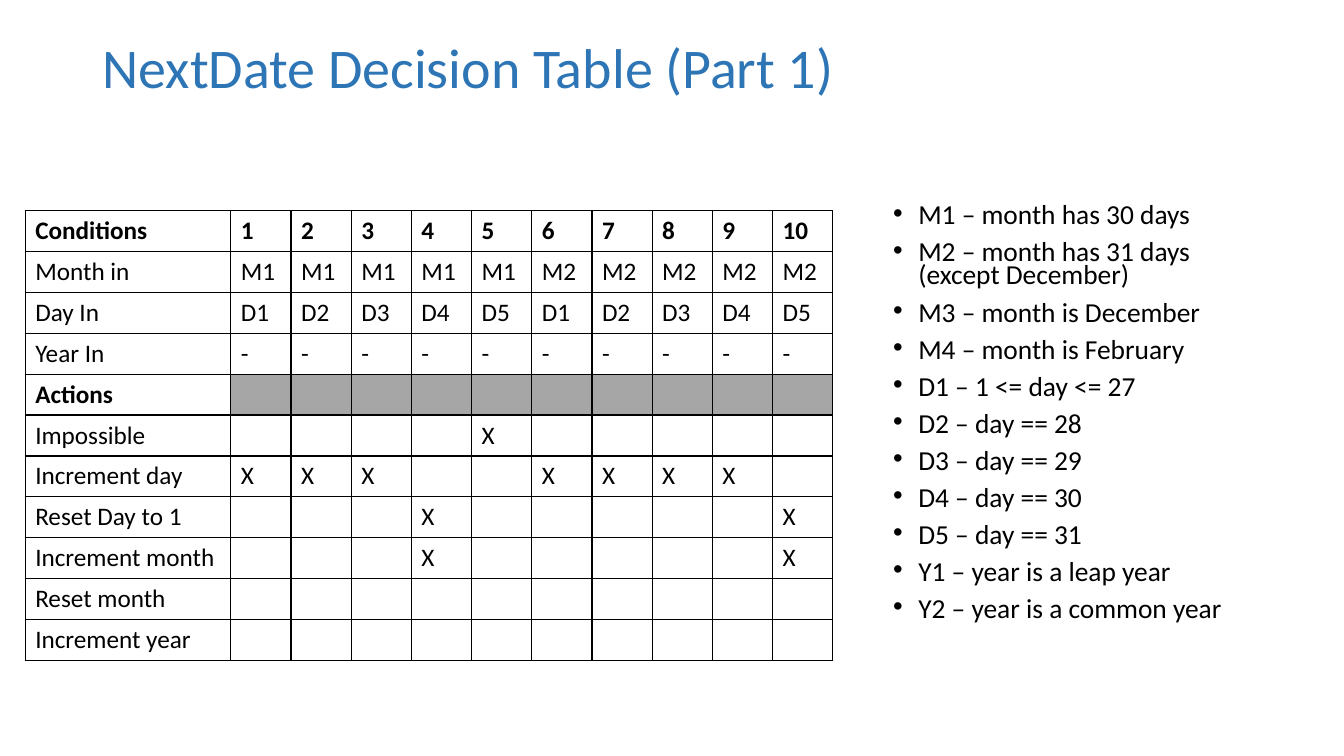
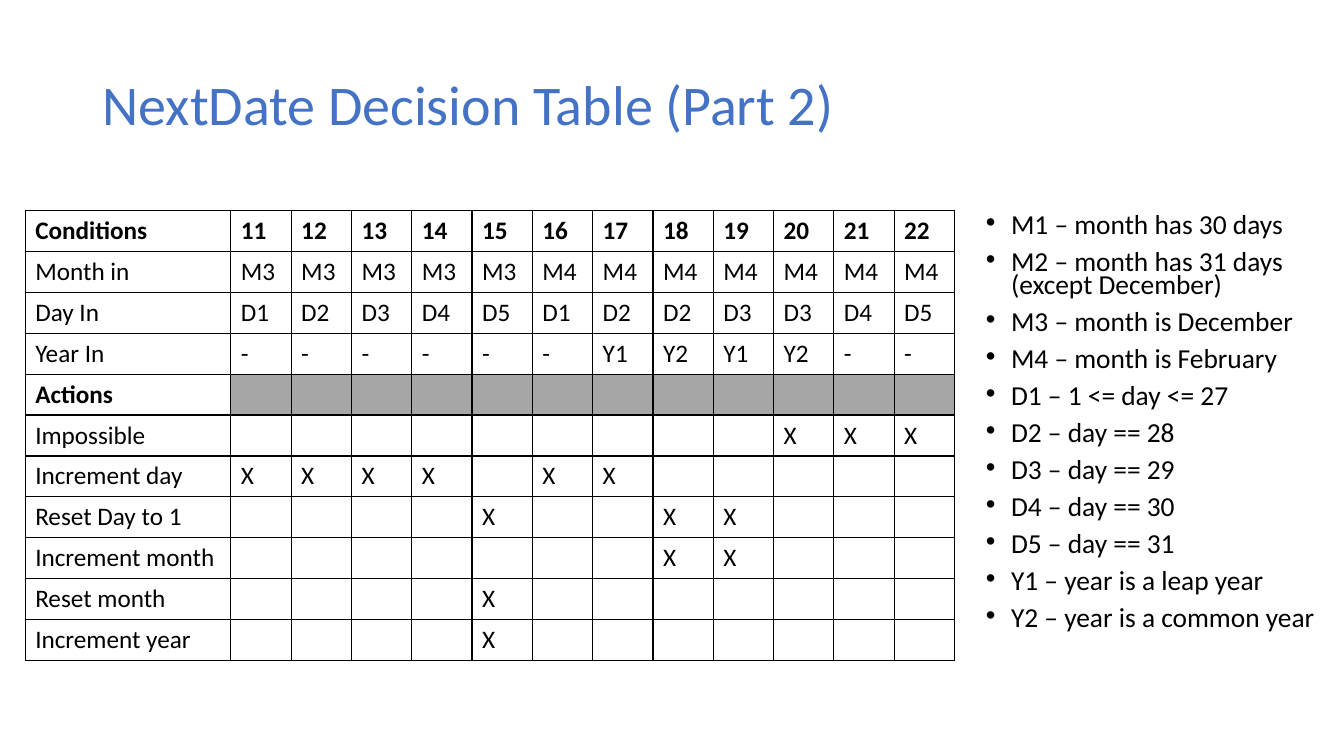
from dataclasses import dataclass

from lxml import etree
from pptx import Presentation
from pptx import util as u
from pptx.dml.color import RGBColor
from pptx.enum import text
from pptx.oxml import ns

FONT = "Calibri"
BLACK, GREY = "000000", "A6A6A6"
LABEL_WIDTH, TABLE_HEIGHT = 2.04, 4.46
FRAME_FORMAT = {"word_wrap": True, "auto_size": text.MSO_AUTO_SIZE.NONE}
TITLE_FORMAT = {"line_spacing": 0.9}
LEGEND_FORMAT = {"line_spacing": 0.7, "space_before": u.Pt(10)}

ACTIONS = ["Impossible", "Increment day", "Reset Day to 1",
           "Increment month", "Reset month", "Increment year"]
LEGEND = [
    "M1 – month has 30 days",
    "M2 – month has 31 days (except December)",
    "M3 – month is December",
    "M4 – month is February",
    "D1 – 1 <= day <= 27",
    "D2 – day == 28",
    "D3 – day == 29",
    "D4 – day == 30",
    "D5 – day == 31",
    "Y1 – year is a leap year",
    "Y2 – year is a common year",
]


@dataclass
class DecisionSlide:
    title: str
    title_color: str
    title_top: float
    table_width: float
    legend_left: float
    legend_top: float
    rules: range
    months: list[str]
    days: list[str]
    years: list[str]
    marks: dict[str, set[int]]  # action -> rules that trigger it

    def rows(self) -> list[list[str]]:
        blank = [""] * len(self.rules)
        return [
            ["Conditions", *map(str, self.rules)],
            ["Month in", *self.months],
            ["Day In", *self.days],
            ["Year In", *self.years],
            ["Actions", *blank],
            *([action, *("X" if rule in self.marks.get(action, ()) else ""
                         for rule in self.rules)] for action in ACTIONS),
        ]


DECISION_SLIDES = [
    DecisionSlide(
        "NextDate Decision Table (Part 1)", "2E75B6", 0.17, 8.01, 8.76, 2,
        rules=range(1, 11),
        months=["M1"] * 5 + ["M2"] * 5,
        days="D1 D2 D3 D4 D5".split() * 2,
        years=["-"] * 10,
        marks={"Impossible": {5},
               "Increment day": {1, 2, 3, 6, 7, 8, 9},
               "Reset Day to 1": {4, 10},
               "Increment month": {4, 10}},
    ),
    DecisionSlide(
        "NextDate Decision Table (Part 2)", "4472C4", 0.54, 9.22, 9.68, 2.09,
        rules=range(11, 23),
        months=["M3"] * 5 + ["M4"] * 7,
        days="D1 D2 D3 D4 D5 D1 D2 D2 D3 D3 D4 D5".split(),
        years="- - - - - - Y1 Y2 Y1 Y2 - -".split(),
        marks={"Impossible": {20, 21, 22},
               "Increment day": {11, 12, 13, 14, 16, 17},
               "Reset Day to 1": {15, 18, 19},
               "Increment month": {18, 19},
               "Reset month": {15},
               "Increment year": {15}},
    ),
]


def color(value: str) -> RGBColor:
    return RGBColor.from_string(value)


def apply(target, values: dict) -> None:
    for name, value in values.items():
        setattr(target, name, value)


def add_run(paragraph, content: str, size: float, ink: str = BLACK, bold: bool = False) -> None:
    run = paragraph.add_run()
    run.text = content
    apply(run.font, {"name": FONT, "size": u.Pt(size), "bold": bold})
    run.font.color.rgb = color(ink)


def add_frame(slide, left: float, top: float, width: float, height: float):
    box = slide.shapes.add_textbox(*map(u.Inches, (left, top, width, height)))
    apply(box.text_frame, FRAME_FORMAT)
    return box.text_frame


def add_title(slide, content: str, ink: str, top: float) -> None:
    frame = add_frame(slide, 0.92, top, 11.5, 1.06)
    frame.vertical_anchor = text.MSO_ANCHOR.MIDDLE
    paragraph = frame.paragraphs[0]
    apply(paragraph, TITLE_FORMAT)
    add_run(paragraph, content, 40, ink)


def set_bullet(paragraph) -> None:
    properties = paragraph._p.get_or_add_pPr()
    properties.set("marL", str(u.Inches(0.25)))
    properties.set("indent", str(u.Inches(-0.25)))
    etree.SubElement(properties, ns.qn("a:buFont"), typeface="Arial")
    etree.SubElement(properties, ns.qn("a:buChar"), char="•")


def add_legend(slide, left: float, top: float) -> None:
    frame = add_frame(slide, left, top, 3.66, 4.76)
    for index, entry in enumerate(LEGEND):
        paragraph = frame.add_paragraph() if index else frame.paragraphs[0]
        apply(paragraph, LEGEND_FORMAT)
        set_bullet(paragraph)
        add_run(paragraph, entry, 19.6)


def set_borders(cell) -> None:
    properties = cell._tc.get_or_add_tcPr()
    for side in ("lnL", "lnR", "lnT", "lnB"):
        line = etree.SubElement(properties, ns.qn(f"a:{side}"), w=str(u.Pt(1)))
        fill = etree.SubElement(line, ns.qn("a:solidFill"))
        etree.SubElement(fill, ns.qn("a:srgbClr"), val=BLACK)


def add_decision_table(slide, rows: list[list[str]], width: float) -> None:
    frame = slide.shapes.add_table(
        len(rows), len(rows[0]), *map(u.Inches, (0.25, 2.09, width, TABLE_HEIGHT)))
    table = frame.table
    apply(table, {"first_row": False, "horz_banding": False})
    rule_width = (width - LABEL_WIDTH) / (len(rows[0]) - 1)
    for index, column in enumerate(table.columns):
        column.width = u.Inches(rule_width if index else LABEL_WIDTH)
    for row, values in zip(table.rows, rows):
        row.height = u.Inches(TABLE_HEIGHT / len(rows))
        heading = values[0] in ("Conditions", "Actions")
        for cell, value in zip(row.cells, values):
            set_borders(cell)
            if values[0] == "Actions" and not value:
                cell.fill.solid()
                cell.fill.fore_color.rgb = color(GREY)
            else:
                cell.fill.background()
            if value:
                add_run(cell.text_frame.paragraphs[0], value, 18, bold=heading)


def main() -> None:
    presentation = Presentation()
    presentation.slide_width = u.Inches(13.33)
    presentation.slide_height = u.Inches(7.5)
    for content in DECISION_SLIDES:
        slide = presentation.slides.add_slide(presentation.slide_layouts[6])
        add_title(slide, content.title, content.title_color, content.title_top)
        add_decision_table(slide, content.rows(), content.table_width)
        add_legend(slide, content.legend_left, content.legend_top)
    presentation.save("out.pptx")


if __name__ == "__main__":
    main()
